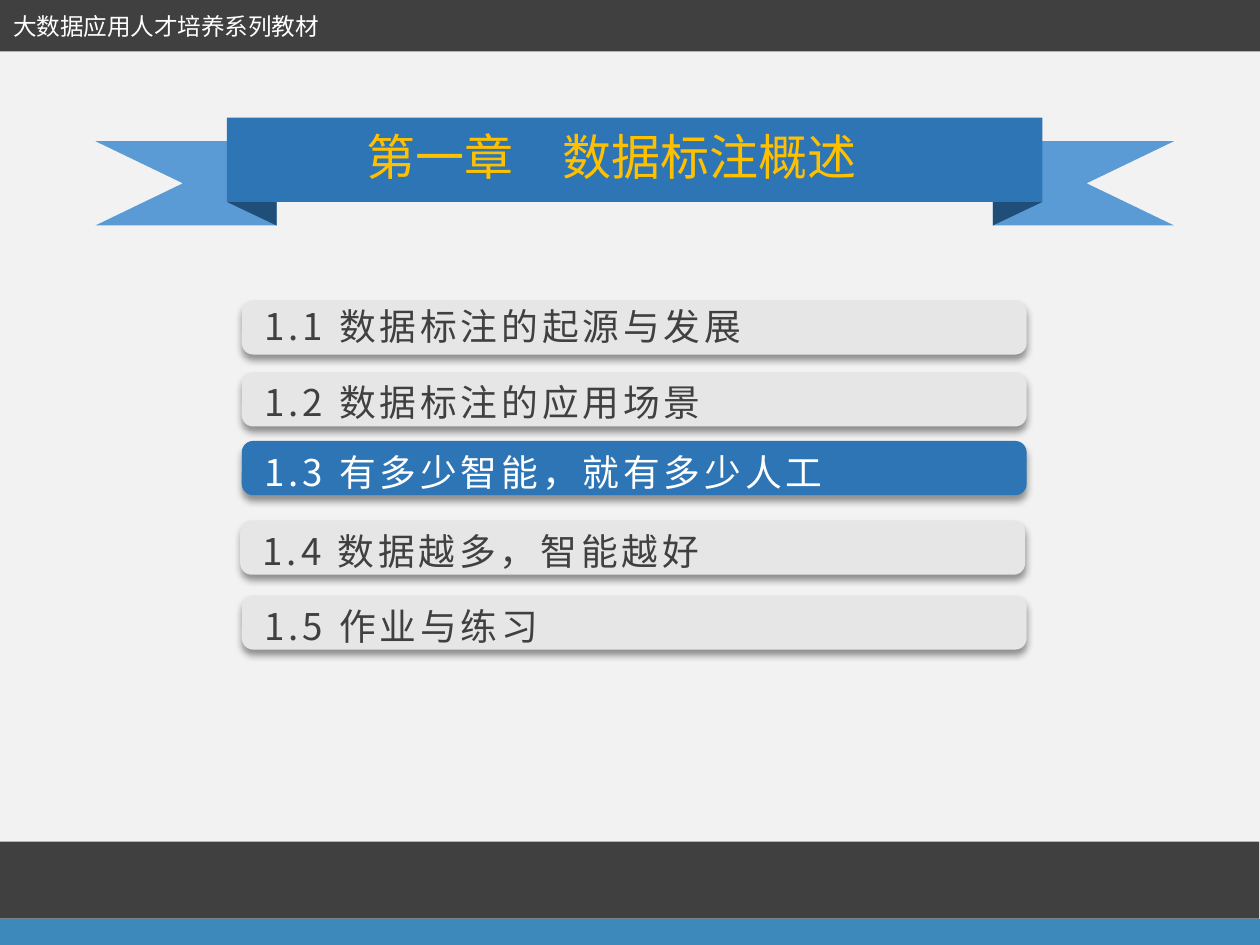
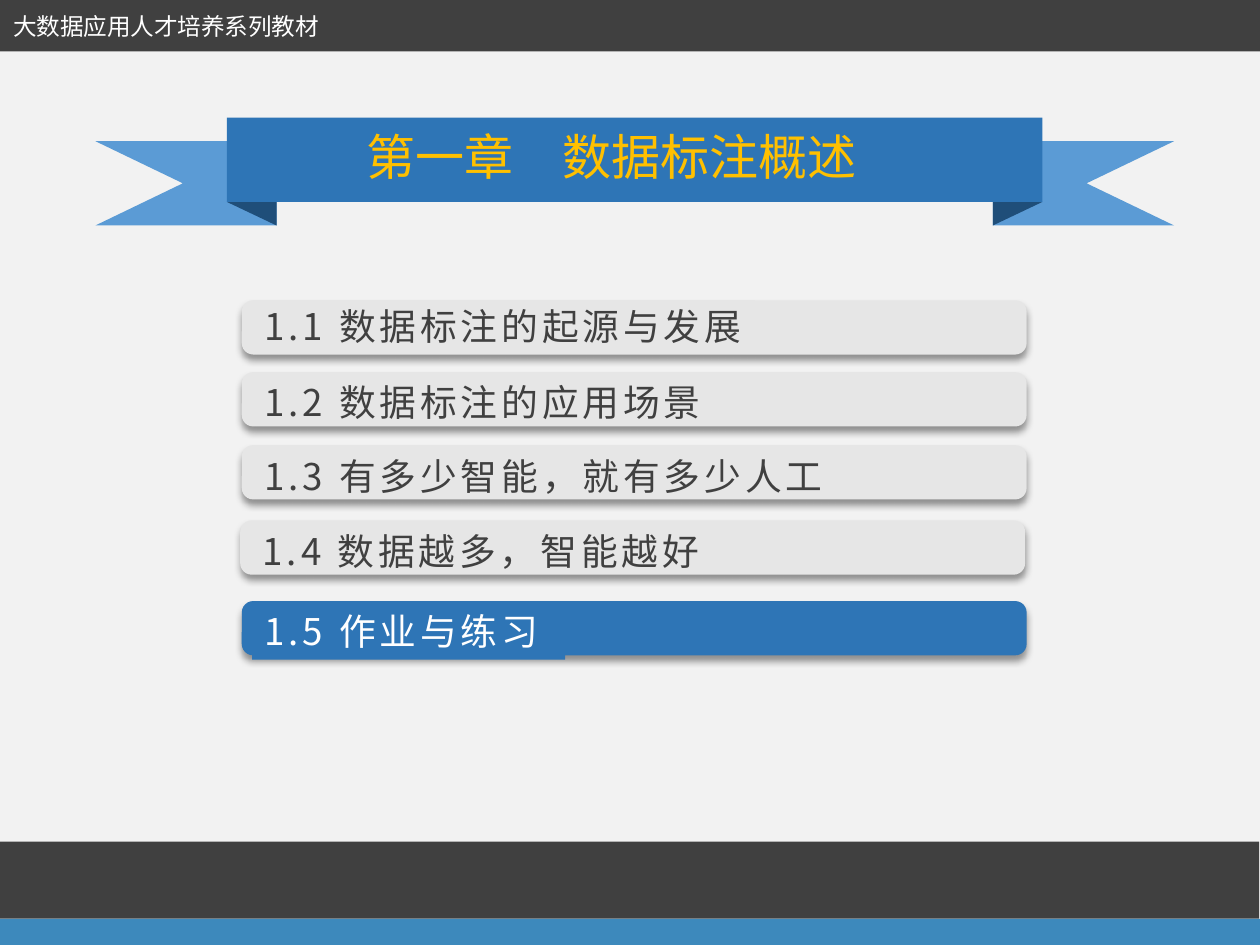
from lxml import etree
from pptx import Presentation
from pptx.dml.color import RGBColor
from pptx.enum.shapes import MSO_SHAPE
from pptx.enum.text import MSO_ANCHOR, MSO_AUTO_SIZE, PP_ALIGN
from pptx.oxml.ns import qn
from pptx.util import Pt

RECTANGLE = MSO_SHAPE.RECTANGLE
ROUNDED = MSO_SHAPE.ROUNDED_RECTANGLE
RIGHT_TRIANGLE = MSO_SHAPE.RIGHT_TRIANGLE
TOP = MSO_ANCHOR.TOP
FIT_TEXT = MSO_AUTO_SIZE.SHAPE_TO_FIT_TEXT
LEFT, CENTER = PP_ALIGN.LEFT, PP_ALIGN.CENTER

FONT = "Noto Sans CJK SC"
COLORS = {
    "background": "F2F2F2",
    "dark": "404040",
    "footer": "3D89BC",
    "ribbon": "2E75B6",
    "tail": "5B9BD5",
    "fold": "1F4E79",
    "title": "FFC000",
    "entry": "E6E6E6",
    "white": "FFFFFF",
}
WIDTH, HEIGHT = 720, 540
SERIES = "大数据应用人才培养系列教材"
CHAPTER = "第一章　数据标注概述"

# number, title, left, top, offset of the text below the top of the bar
SECTIONS = [
    ("1.1", "数据标注的起源与发展", 138.2, 171.6, -1.5),
    ("1.2", "数据标注的应用场景", 138.2, 212.7, 0.5),
    ("1.3", "有多少智能，就有多少人工", 138.2, 254.4, 1.2),
    ("1.4", "数据越多，智能越好", 137.3, 297.4, 1.2),
    ("1.5", "作业与练习", 138.2, 340.2, 1),
]
BAR_WIDTH, BAR_HEIGHT = 448.5, 31
LETTER_SPACING = 2.2


def color(name):
    return RGBColor.from_string(COLORS[name])


def paint(shape, fill):
    shape.shadow.inherit = False
    shape.fill.solid()
    shape.fill.fore_color.rgb = color(fill)
    shape.line.fill.background()
    return shape


def add_block(shapes, preset, box, fill):
    return paint(shapes.add_shape(preset, *map(Pt, box)), fill)


def add_shadow(shape):
    effects = shape._element.spPr.find(qn("a:effectLst"))
    shadow = etree.SubElement(effects, qn("a:outerShdw"), blurRad=str(Pt(4)),
                              dist=str(Pt(3)), dir="5400000", algn="t", rotWithShape="0")
    black = etree.SubElement(shadow, qn("a:srgbClr"), val="000000")
    etree.SubElement(black, qn("a:alpha"), val="40000")


def write(shape, text, size, font_color, alignment=LEFT, spacing=0):
    """Write one unwrapped line of text."""
    frame = shape.text_frame
    frame.word_wrap = False
    frame.auto_size = FIT_TEXT
    frame.vertical_anchor = TOP
    paragraph = frame.paragraphs[0]
    paragraph.alignment = alignment
    font = paragraph.font
    font.size = Pt(size)
    font.color.rgb = color(font_color)
    font.name = FONT
    etree.SubElement(font._element, qn("a:ea"), typeface=FONT)
    run = paragraph.add_run()
    run.text = text
    if spacing:
        run.font._element.set("spc", str(round(spacing * 100)))


def add_frame(slide):
    """Background, header band with the series name, and footer bands."""
    slide.background.fill.solid()
    slide.background.fill.fore_color.rgb = color("background")
    add_block(slide.shapes, RECTANGLE, (-0.5, -0.5, WIDTH + 1, 30), "dark")
    add_block(slide.shapes, RECTANGLE, (-0.5, 481, WIDTH, 44), "dark")
    add_block(slide.shapes, RECTANGLE, (0, 525, WIDTH, 15), "footer")
    series = slide.shapes.add_textbox(Pt(0.5), Pt(3), Pt(191.5), Pt(23.8))
    write(series, SERIES, 13.5, "white")


def add_ribbon(slide, left, top, width, height):
    """Chapter ribbon; the box is that of the front band."""
    shapes = slide.shapes.add_group_shape().shapes
    drop, fold, overhang, notch = 13.5, 28.4, 75.2, 50
    right = left + width
    bottom = top + height
    # outer edge, direction inwards, fold box, fold rotation
    sides = [
        (left - overhang, 1, (left, bottom, fold, drop), 180),
        (right + overhang, -1,
         (right - (fold + drop) / 2, bottom + (drop - fold) / 2, drop, fold), 90),
    ]
    for edge, inward, fold_box, rotation in sides:
        inner = edge + inward * (overhang + fold)
        outline = shapes.build_freeform(Pt(edge), Pt(top + drop), scale=1.0)
        points = [(inner, top + drop), (inner, bottom + drop), (edge, bottom + drop),
                  (edge + inward * notch, top + drop + height / 2)]
        outline.add_line_segments([(Pt(x), Pt(y)) for x, y in points])
        paint(outline.convert_to_shape(), "tail")
        add_block(shapes, RIGHT_TRIANGLE, fold_box, "fold").rotation = rotation
    add_block(shapes, RECTANGLE, (left, top, width, height), "ribbon")
    title = shapes.add_textbox(Pt(left + 71), Pt(top + 1.6), Pt(297.5), Pt(41.2))
    write(title, CHAPTER, 28, "title", CENTER)


def add_section(slide, section, current, filled_label):
    number, title, left, top, text_offset = section
    shapes = slide.shapes.add_group_shape().shapes
    fill, font_color = ("ribbon", "white") if current else ("entry", "dark")
    bar = add_block(shapes, ROUNDED, (left, top, BAR_WIDTH, BAR_HEIGHT), fill)
    bar.adjustments[0] = 0.21
    add_shadow(bar)
    label_box = (left + 5.8, top + text_offset, 63 + 23.2 * len(title), 32.4)
    if filled_label:
        label = add_block(shapes, RECTANGLE, label_box, fill)
    else:
        label = shapes.add_textbox(*map(Pt, label_box))
    write(label, f"{number} {title}", 21, font_color, spacing=LETTER_SPACING)


def add_contents_slide(presentation, current_number, shift, filled_label=False):
    """Contents with one section highlighted and its bar shifted vertically."""
    slide = presentation.slides.add_slide(presentation.slide_layouts[6])
    add_frame(slide)
    add_ribbon(slide, 129.7, 67.2, 466, 48.2)
    for number, title, left, top, text_offset in SECTIONS:
        current = number == current_number
        section = (number, title, left, top + shift * current, text_offset)
        add_section(slide, section, current, current and filled_label)


def main():
    presentation = Presentation()
    presentation.slide_width, presentation.slide_height = Pt(WIDTH), Pt(HEIGHT)
    add_contents_slide(presentation, "1.3", -2.4)
    add_contents_slide(presentation, "1.5", 3.3, filled_label=True)
    presentation.save("out.pptx")


if __name__ == "__main__":
    main()
